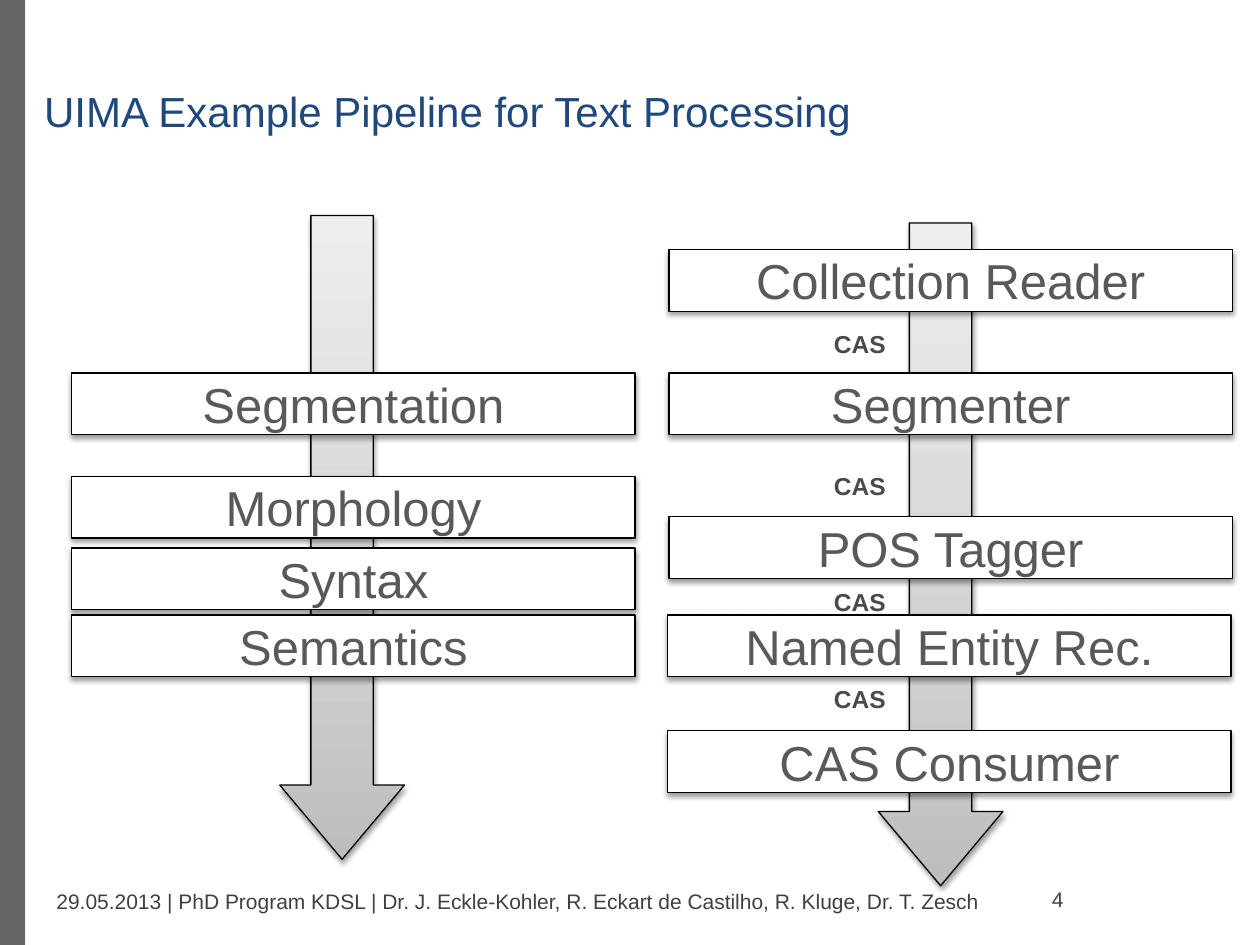
from dataclasses import dataclass

from lxml import etree
from pptx import Presentation
from pptx.dml.color import RGBColor
from pptx.enum.shapes import MSO_SHAPE
from pptx.enum.text import MSO_ANCHOR, MSO_AUTO_SIZE, PP_ALIGN
from pptx.oxml.ns import qn
from pptx.util import Inches, Pt

RECTANGLE = MSO_SHAPE.RECTANGLE
DOWN_ARROW = MSO_SHAPE.DOWN_ARROW
TOP, MIDDLE = MSO_ANCHOR.TOP, MSO_ANCHOR.MIDDLE
LEFT, CENTER = PP_ALIGN.LEFT, PP_ALIGN.CENTER
FIT_SHAPE = MSO_AUTO_SIZE.SHAPE_TO_FIT_TEXT

FONT = "Arial"
COLORS = {
    "bar": "666666",
    "title": "1F497D",
    "step": "595959",
    "cas": "4A4A4A",
    "footer": "404040",
    "white": "FFFFFF",
    "black": "000000",
}
ARROW_STOPS = ((0, "BDBDBD"), (35, "D1D1D1"), (100, "EEEEEE"))
STEP_WIDTH, STEP_HEIGHT = 4.47, 0.49
ARROW_WIDTH = 0.99
CAS_LEFT, CAS_TOPS = 6.52, (2.56, 3.69, 4.61, 5.38)


@dataclass(frozen=True)
class Step:
    text: str
    left: float
    top: float


@dataclass(frozen=True)
class Pipeline:
    arrow_left: float
    arrow_top: float
    arrow_height: float
    steps: tuple[Step, ...]


PIPELINES = (
    Pipeline(6.97, 1.77, 5.26, (
        Step("Collection Reader", 5.31, 1.98),
        Step("Segmenter", 5.31, 2.96),
        Step("POS Tagger", 5.31, 4.1),
        Step("Named Entity Rec.", 5.3, 4.88),
        Step("CAS Consumer", 5.3, 5.8),
    )),
    Pipeline(2.22, 1.71, 5.11, (
        Step("Segmentation", 0.57, 2.96),
        Step("Morphology", 0.57, 3.78),
        Step("Syntax", 0.57, 4.35),
        Step("Semantics", 0.57, 4.88),
    )),
)


def rgb(name: str) -> RGBColor:
    return RGBColor.from_string(COLORS[name])


def write_text(shape, text: str, *, size: float, color: str, bold: bool = False,
               align=LEFT, anchor=TOP, wrap: bool = True) -> None:
    frame = shape.text_frame
    frame.word_wrap = wrap
    frame.vertical_anchor = anchor
    para = frame.paragraphs[0]
    para.alignment = align
    span = para.add_run()
    span.text = text
    span.font.name = FONT
    span.font.size = Pt(size)
    span.font.bold = bold
    span.font.color.rgb = rgb(color)


def add_text(page, left: float, top: float, width: float, height: float,
             text: str, **text_format):
    box = page.shapes.add_textbox(Inches(left), Inches(top), Inches(width), Inches(height))
    write_text(box, text, **text_format)
    return box


def add_outlined(page, kind, left: float, top: float, width: float, height: float):
    shape = page.shapes.add_shape(kind, Inches(left), Inches(top), Inches(width), Inches(height))
    shape.line.color.rgb = rgb("black")
    shape.line.width = Pt(0.75)
    shape.shadow.inherit = False
    effects = shape._element.spPr.find(qn("a:effectLst"))
    shadow = etree.SubElement(
        effects, qn("a:outerShdw"), blurRad=str(Pt(3.1)), dist=str(Pt(1.6)),
        dir="5400000", rotWithShape="0")
    shade = etree.SubElement(shadow, qn("a:srgbClr"), val=COLORS["black"])
    etree.SubElement(shade, qn("a:alpha"), val="38000")
    return shape


def add_arrow(page, pipeline: Pipeline) -> None:
    arrow = add_outlined(page, DOWN_ARROW, pipeline.arrow_left, pipeline.arrow_top,
                         ARROW_WIDTH, pipeline.arrow_height)
    arrow.adjustments[0] = 0.5
    arrow.adjustments[1] = 0.595
    arrow.fill.gradient()
    arrow.fill.gradient_angle = 90
    stops = arrow._element.spPr.find(qn("a:gradFill")).find(qn("a:gsLst"))
    for stop in list(stops):
        stops.remove(stop)
    for percent, color in ARROW_STOPS:
        stop = etree.SubElement(stops, qn("a:gs"), pos=str(percent * 1000))
        etree.SubElement(stop, qn("a:srgbClr"), val=color)


def add_step(page, step: Step) -> None:
    box = add_outlined(page, RECTANGLE, step.left, step.top, STEP_WIDTH, STEP_HEIGHT)
    box.fill.solid()
    box.fill.fore_color.rgb = rgb("white")
    write_text(box, step.text, size=28, color="step", align=CENTER, anchor=MIDDLE)


def add_side_bar(page, height: int) -> None:
    bar = page.shapes.add_shape(RECTANGLE, 0, 0, Inches(0.2), height)
    bar.shadow.inherit = False
    bar.fill.solid()
    bar.fill.fore_color.rgb = rgb("bar")
    bar.line.fill.background()


def add_title(page) -> None:
    title = add_text(page, 0.35, 0.68, 9.53, 0.75,
                     "UIMA Example Pipeline for Text Processing", size=24, color="title")
    frame = title.text_frame
    frame.margin_left = frame.margin_right = frame.margin_top = frame.margin_bottom = 0


def main() -> None:
    deck = Presentation()
    deck.slide_width, deck.slide_height = Inches(10), Inches(7.5)
    page = deck.slides.add_slide(deck.slide_layouts[6])

    add_side_bar(page, deck.slide_height)
    add_title(page)
    for pipeline in PIPELINES:
        add_arrow(page, pipeline)
        for step in pipeline.steps:
            add_step(page, step)
    for top in CAS_TOPS:
        label = add_text(page, CAS_LEFT, top, 0.62, 0.34, "CAS",
                         size=14, color="cas", bold=True, wrap=False)
        label.text_frame.auto_size = FIT_SHAPE
    add_text(page, 0.35, 6.95, 7.8, 0.4,
             "29.05.2013 | PhD Program KDSL | Dr. J. Eckle-Kohler, "
             "R. Eckart de Castilho, R. Kluge, Dr. T. Zesch",
             size=12, color="footer", anchor=MIDDLE)
    add_text(page, 8.25, 6.94, 0.7, 0.4, "4", size=12, color="footer", anchor=MIDDLE)

    deck.save("out.pptx")


if __name__ == "__main__":
    main()
